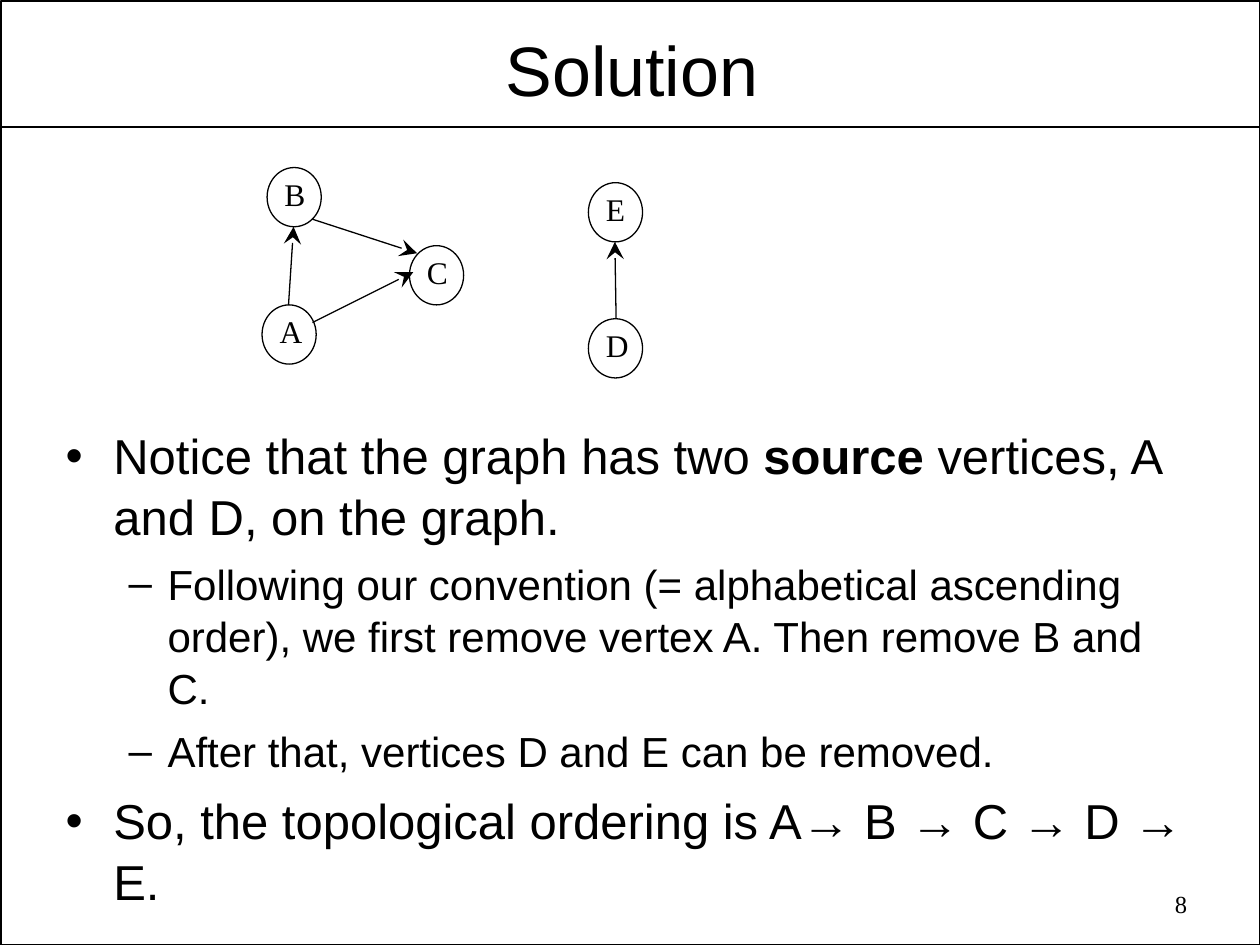
from typing import NamedTuple

from lxml import etree
from pptx import Presentation
from pptx import util as u
from pptx.dml.color import RGBColor
from pptx.enum import shapes, text
from pptx.oxml.ns import qn

BLACK = RGBColor(0, 0, 0)
SANS = "Arial"
SERIF = "Times New Roman"
LINE_SPACING = 1.04


class Vertex(NamedTuple):
    name: str
    left: float
    top: float
    label_width: float


class Edge(NamedTuple):
    start: tuple[float, float]
    end: tuple[float, float]


class Level(NamedTuple):
    bullet: str
    size: int
    space_before: int
    margin: float
    hanging: float


class Point(NamedTuple):
    level: int
    runs: list[tuple[str, bool]]


VERTICES = [
    Vertex("A", 2.08, 2.42, 0.38),
    Vertex("B", 2.12, 1.33, 0.36),
    Vertex("C", 3.25, 1.95, 0.36),
    Vertex("D", 4.67, 2.53, 0.38),
    Vertex("E", 4.67, 1.45, 0.35),
]
EDGES = [
    Edge((2.29, 2.42), (2.33, 1.8)),
    Edge((2.48, 2.56), (3.28, 2.16)),
    Edge((2.48, 1.74), (3.31, 2.01)),
    Edge((4.89, 2.53), (4.88, 1.92)),
]
LEVELS = [Level("•", 28, 7, 0.38, 0.38), Level("–", 24, 6, 0.81, 0.31)]
POINTS = [
    Point(0, [("Notice that the graph has two ", False), ("source", True),
              (" vertices, A and D, on the graph.", False)]),
    Point(1, [("Following our convention (= alphabetical ascending order), "
               "we first remove vertex A. Then remove B and C.", False)]),
    Point(1, [("After that, vertices D and E can be removed.", False)]),
    Point(0, [("So, the topological ordering is A→ B → C → D → E.", False)]),
]


def place(shape, left: float, top: float, width: float, height: float) -> None:
    shape.left, shape.top = u.Inches(left), u.Inches(top)
    shape.width, shape.height = u.Inches(width), u.Inches(height)


def add_run(paragraph, words: str, size: int, font: str, bold: bool = False) -> None:
    run = paragraph.add_run()
    run.text = words
    run.font.size = u.Pt(size)
    run.font.name = font
    run.font.bold = bold
    run.font.color.rgb = BLACK


def add_outline(parent, kind, left: float, top: float, width: float,
                height: float, weight: float) -> None:
    shape = parent.add_shape(kind, u.Inches(left), u.Inches(top),
                             u.Inches(width), u.Inches(height))
    shape.shadow.inherit = False
    shape.fill.background()
    shape.line.color.rgb = BLACK
    shape.line.width = u.Pt(weight)


def add_line(parent, edge: Edge, weight: float, arrow: bool = False) -> None:
    line = parent.add_connector(shapes.MSO_CONNECTOR.STRAIGHT,
                                *map(u.Inches, edge.start + edge.end))
    line.line.color.rgb = BLACK
    line.line.width = u.Pt(weight)
    properties = line._element.spPr
    if arrow:
        etree.SubElement(properties.find(qn("a:ln")), qn("a:tailEnd"),
                         type="stealth", w="lg", len="lg")
    etree.SubElement(properties, qn("a:effectLst"))


def add_vertex(parent, vertex: Vertex) -> None:
    group = parent.add_group_shape().shapes
    label = group.add_textbox(u.Inches(vertex.left + 0.04), u.Inches(vertex.top + 0.01),
                              u.Inches(vertex.label_width), u.Inches(0.4))
    label.text_frame.word_wrap = False
    add_run(label.text_frame.paragraphs[0], vertex.name, 18, SERIF)
    add_outline(group, shapes.MSO_SHAPE.OVAL, vertex.left, vertex.top, 0.43, 0.47, 0.75)


def add_bullet(paragraph, level: Level) -> None:
    properties = paragraph._p.get_or_add_pPr()
    properties.set("marL", str(u.Inches(level.margin)))
    properties.set("indent", str(-u.Inches(level.hanging)))
    colour = etree.SubElement(properties, qn("a:buClr"))
    etree.SubElement(colour, qn("a:srgbClr"), val=str(BLACK))
    etree.SubElement(properties, qn("a:buFont"), typeface=SANS)
    etree.SubElement(properties, qn("a:buChar"), char=level.bullet)


def fill_title(title) -> None:
    place(title, 0.53, 0.19, 8.97, 0.72)
    frame = title.text_frame
    frame.auto_size = text.MSO_AUTO_SIZE.NONE
    frame.vertical_anchor = text.MSO_ANCHOR.BOTTOM
    frame.margin_left = frame.margin_right = u.Inches(0.07)
    frame.margin_top = frame.margin_bottom = u.Inches(0.03)
    heading = frame.paragraphs[0]
    heading.alignment = text.PP_ALIGN.CENTER
    heading.line_spacing = LINE_SPACING
    add_run(heading, "Solution", 40, SANS)


def fill_body(body) -> None:
    place(body, 0.42, 3.31, 9.17, 3.86)
    frame = body.text_frame
    frame.auto_size = text.MSO_AUTO_SIZE.NONE
    for index, point in enumerate(POINTS):
        paragraph = frame.add_paragraph() if index else frame.paragraphs[0]
        level = LEVELS[point.level]
        paragraph.level = point.level
        add_bullet(paragraph, level)
        paragraph.line_spacing = LINE_SPACING
        paragraph.space_before = u.Pt(level.space_before if index else 0)
        for words, bold in point.runs:
            add_run(paragraph, words, level.size, SANS, bold)


def add_page_number(parent) -> None:
    box = parent.add_textbox(u.Inches(7.18), u.Inches(7.01), u.Inches(2.34), u.Inches(0.36))
    box.text_frame.word_wrap = True
    paragraph = box.text_frame.paragraphs[0]
    paragraph.alignment = text.PP_ALIGN.RIGHT
    add_run(paragraph, "8", 14, SERIF)


def main() -> None:
    deck = Presentation()
    deck.slide_width, deck.slide_height = u.Inches(10), u.Inches(7.5)
    slide = deck.slides.add_slide(deck.slide_layouts[1])
    canvas = slide.shapes
    fill_title(canvas.title)
    fill_body(slide.placeholders[1])
    add_outline(canvas, shapes.MSO_SHAPE.RECTANGLE, 0.01, 0.01, 9.99, 7.49, 1)
    add_line(canvas, Edge((0.01, 1.01), (9.99, 1.01)), 1)
    add_page_number(canvas)
    for vertex in VERTICES:
        add_vertex(canvas, vertex)
    for edge in EDGES:
        add_line(canvas, edge, 0.75, arrow=True)
    deck.save("out.pptx")


if __name__ == "__main__":
    main()
